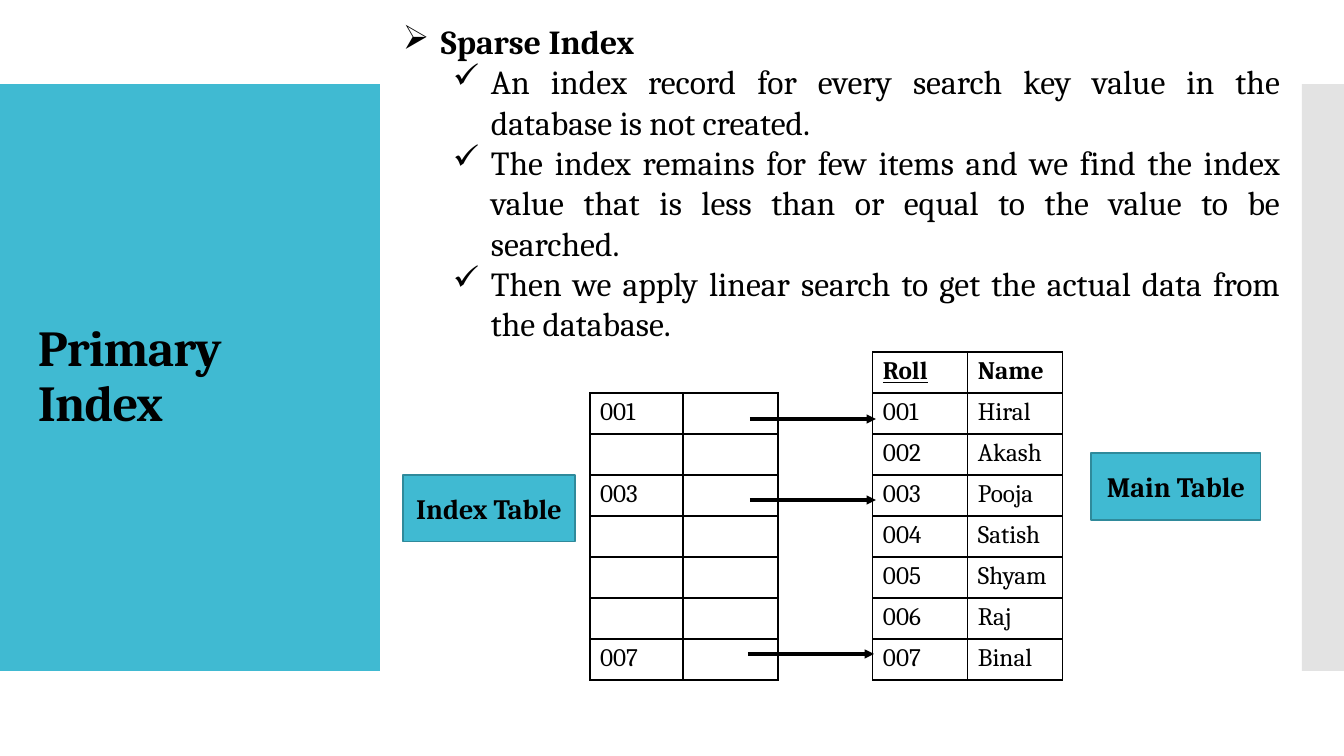
from lxml.etree import SubElement
from pptx import Presentation
from pptx.dml.color import RGBColor
from pptx.enum.shapes import MSO_CONNECTOR, MSO_SHAPE
from pptx.enum.text import MSO_ANCHOR, PP_ALIGN
from pptx.oxml import parse_xml
from pptx.oxml.ns import nsdecls, qn
from pptx.util import Pt

EMU_PER_PX = 914400 / 100.8
FONT = "Cambria"
COLORS = {"teal": "40BAD2", "teal_edge": "2F8A9B", "grey": "C8C8C8", "black": "000000"}

BULLETS = [
    ("Sparse Index", "➢", 0),
    ("An index record for every search key value in the database is not created.", "✓", 1),
    ("The index remains for few items and we find the index value that is less than "
     "or equal to the value to be searched.", "✓", 1),
    ("Then we apply linear search to get the actual data from the database.", "✓", 1),
]
NAMES = ["Hiral", "Akash", "Pooja", "Satish", "Shyam", "Raj", "Binal"]
INDEXED_ROLLS = ["001", "003", "007"]
COLUMN_WIDTHS = [93, 95, 95, 95, 95]
ROW_HEIGHT = 41
GAP_COLUMN = 2


def px(length):
    return round(length * EMU_PER_PX)


def box(*lengths):
    return [px(length) for length in lengths]


def color(name):
    return RGBColor.from_string(COLORS[name])


def write_text(paragraph, text, size=18, bold=False, underline=False,
               align=PP_ALIGN.LEFT, spacing=None, line_spacing=None):
    paragraph.alignment = align
    if line_spacing:
        paragraph.line_spacing = line_spacing
    run = paragraph.add_run()
    run.text = text
    font = run.font
    font.name, font.size, font.bold = FONT, Pt(size), bold
    if underline:
        font.underline = True
    font.color.rgb = color("black")
    if spacing:
        run._r.get_or_add_rPr().set("spc", str(spacing))


def add_block(slide, bounds, fill, edge=None, opacity=None):
    shape = slide.shapes.add_shape(MSO_SHAPE.RECTANGLE, *box(*bounds))
    shape.shadow.inherit = False
    shape.fill.solid()
    shape.fill.fore_color.rgb = color(fill)
    if opacity:
        fill_color = shape._element.spPr.find(qn("a:solidFill"))[0]
        SubElement(fill_color, qn("a:alpha")).set("val", str(opacity * 1000))
    if edge:
        shape.line.color.rgb = color(edge)
        shape.line.width = Pt(0.85)
    else:
        shape.line.fill.background()
    return shape


def add_label(slide, text, bounds):
    shape = add_block(slide, bounds, "teal", edge="teal_edge")
    frame = shape.text_frame
    frame.vertical_anchor = MSO_ANCHOR.MIDDLE
    write_text(frame.paragraphs[0], text, size=20, bold=True, align=PP_ALIGN.CENTER)


def add_text_frame(slide, bounds, anchor=MSO_ANCHOR.TOP):
    frame = slide.shapes.add_textbox(*box(*bounds)).text_frame
    frame.word_wrap = True
    frame.vertical_anchor = anchor
    return frame


def add_bullets(slide, bounds):
    frame = add_text_frame(slide, bounds)
    for number, (text, mark, level) in enumerate(BULLETS):
        paragraph = frame.add_paragraph() if number else frame.paragraphs[0]
        paragraph.level = level
        write_text(paragraph, text, size=24, bold=level == 0, align=PP_ALIGN.JUSTIFY)
        properties = paragraph._p.get_or_add_pPr()
        properties.set("marL", str(px(38 + 50 * level)))
        properties.set("indent", str(px(-38)))
        SubElement(properties, qn("a:buChar")).set("char", mark)


def is_ruled(row, column):
    """Index cells start below the header; the gap column has no grid."""
    inside = 0 <= row <= len(NAMES) and 0 <= column < len(COLUMN_WIDTHS)
    return inside and column != GAP_COLUMN and (row > 0 or column > GAP_COLUMN)


def set_borders(cell, row, column):
    neighbours = {"lnL": (row, column - 1), "lnR": (row, column + 1),
                  "lnT": (row - 1, column), "lnB": (row + 1, column)}
    properties = cell._tc.get_or_add_tcPr()
    for position, (side, neighbour) in enumerate(neighbours.items()):
        if is_ruled(row, column) or is_ruled(*neighbour):
            paint = f'<a:solidFill><a:srgbClr val="{COLORS["black"]}"/></a:solidFill>'
        else:
            paint = "<a:noFill/>"
        border = parse_xml(f'<a:{side} {nsdecls("a")} w="{Pt(1)}">{paint}</a:{side}>')
        properties.insert(position, border)


def add_index_and_main_table(slide, left, top):
    rows = [["", "", "", "Roll", "Name"]]
    for number, name in enumerate(NAMES, start=1):
        roll = f"{number:03}"
        rows.append([roll if roll in INDEXED_ROLLS else "", "", "", roll, name])
    bounds = box(left, top, sum(COLUMN_WIDTHS), ROW_HEIGHT * len(rows))
    table = slide.shapes.add_table(len(rows), len(COLUMN_WIDTHS), *bounds).table
    table.first_row = table.horz_banding = False
    for column, width in zip(table.columns, COLUMN_WIDTHS):
        column.width = px(width)
    for row, values in enumerate(rows):
        table.rows[row].height = px(ROW_HEIGHT)
        for column, text in enumerate(values):
            cell = table.cell(row, column)
            cell.fill.background()
            set_borders(cell, row, column)
            if text:
                write_text(cell.text_frame.paragraphs[0], text,
                           bold=row == 0, underline=text == "Roll")


def add_arrow(slide, left, y, length=126):
    arrow = slide.shapes.add_connector(MSO_CONNECTOR.STRAIGHT, *box(left, y, left + length, y))
    arrow.line.color.rgb = color("black")
    arrow.line.width = Pt(2.25)
    SubElement(arrow.line._get_or_add_ln(), qn("a:tailEnd")).set("type", "triangle")
    SubElement(arrow._element.spPr, qn("a:effectLst"))


def main():
    presentation = Presentation()
    presentation.slide_width, presentation.slide_height = box(1344, 756)
    slide = presentation.slides.add_slide(presentation.slide_layouts[6])

    # Side panels
    add_block(slide, (0, 84, 380, 587), "teal")
    add_block(slide, (1302, 84, 42, 587), "grey", opacity=50)

    # Title and explanation
    title = add_text_frame(slide, (28, 124, 325, 507), anchor=MSO_ANCHOR.MIDDLE)
    write_text(title.paragraphs[0], "Primary Index", size=36, bold=True,
               spacing=-60, line_spacing=0.9)
    add_bullets(slide, (393, 16, 897, 336))

    # Index table beside the main table
    add_index_and_main_table(slide, 590, 352)
    add_label(slide, "Index Table", (403, 475, 172, 67))
    add_label(slide, "Main Table", (1091, 453, 170, 67))

    # Pointers from index entries to records
    for left, y in [(750, 419), (750, 500), (748, 654)]:
        add_arrow(slide, left, y)

    presentation.save("out.pptx")


if __name__ == "__main__":
    main()
